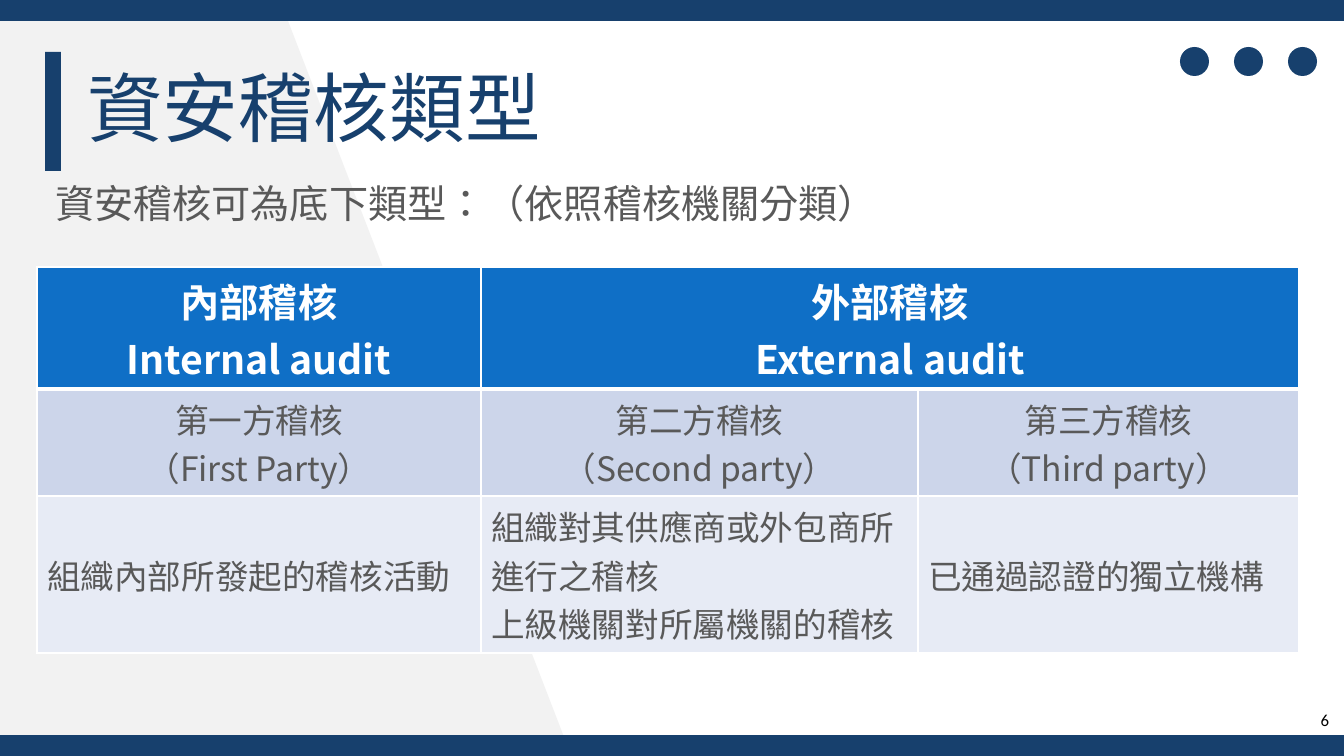
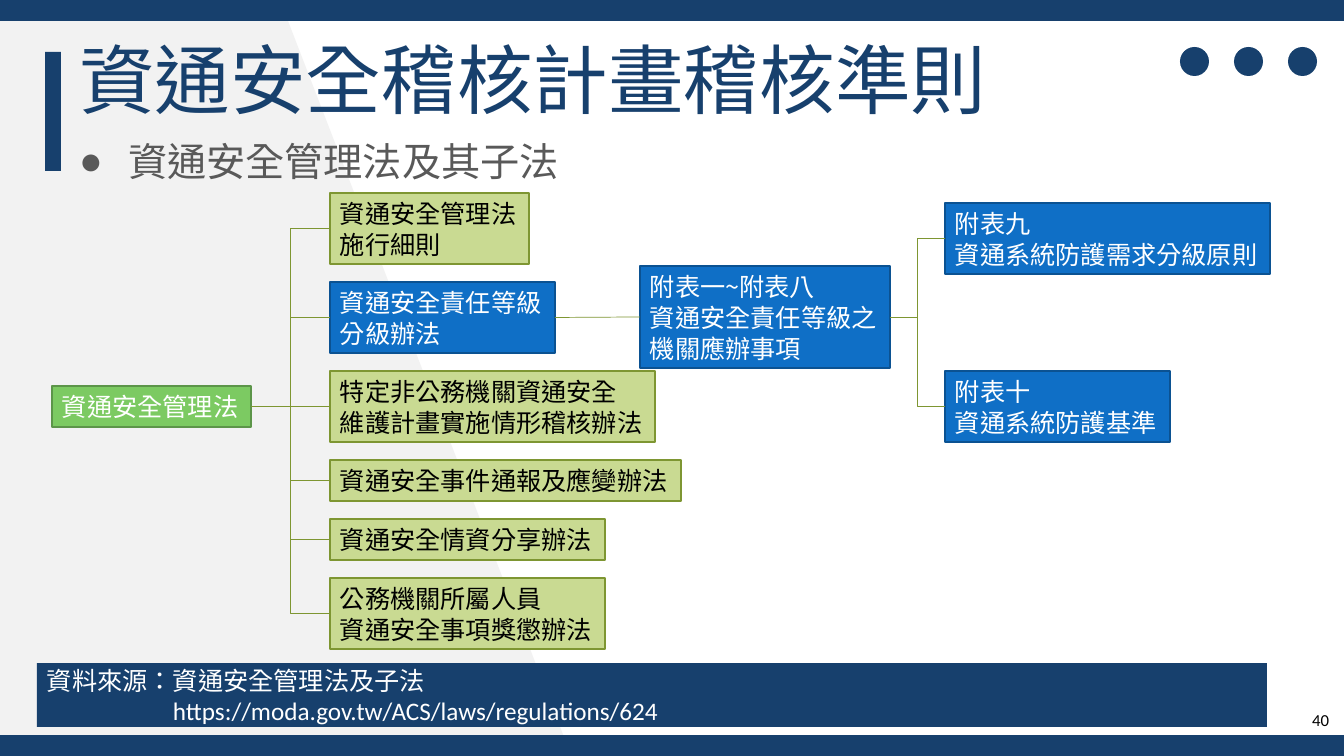
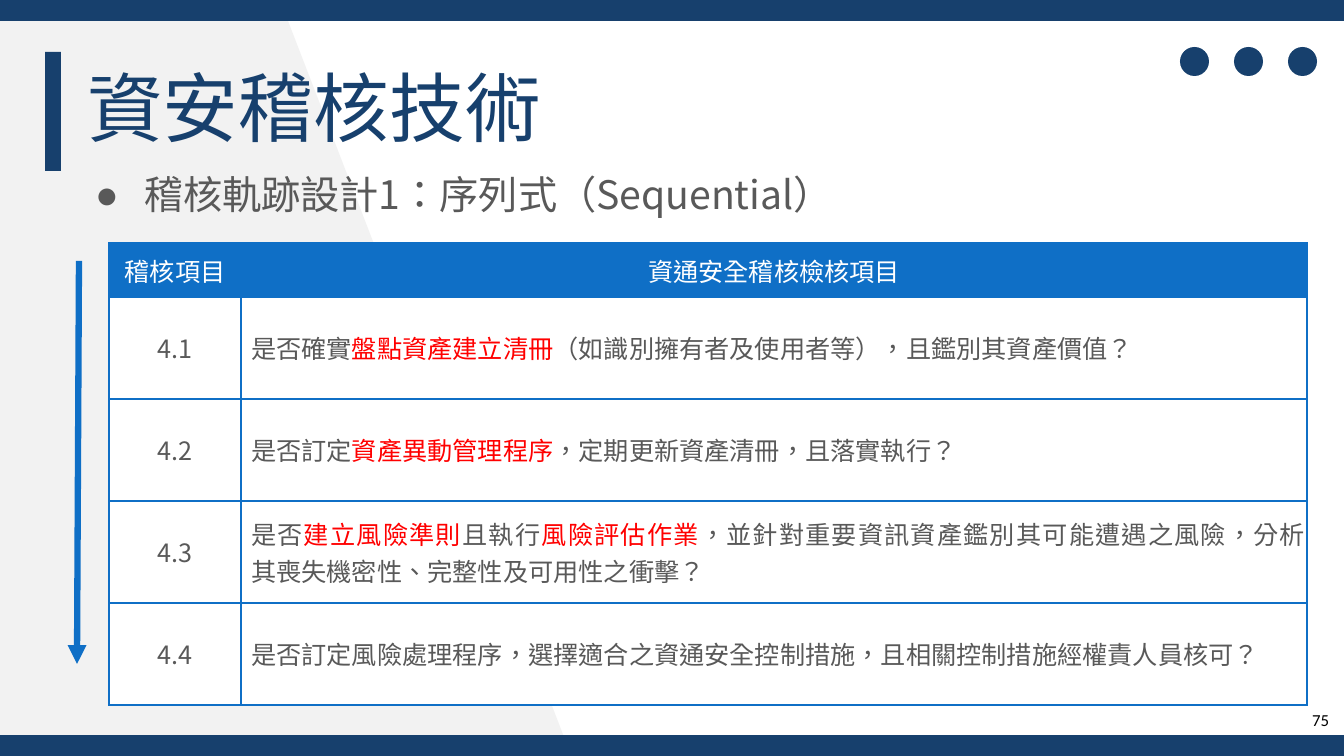
from dataclasses import dataclass

import pptx
import pptx.util
from lxml import etree
from pptx.dml.color import RGBColor
from pptx.enum.shapes import MSO_CONNECTOR, MSO_SHAPE
from pptx.enum.text import MSO_ANCHOR, MSO_AUTO_SIZE, PP_ALIGN
from pptx.oxml.ns import qn

PX = 12192000 / 1344
WIDE, HIGH = 1344, 756
Pt = pptx.util.Pt


@dataclass(frozen=True)
class Theme:
    navy: str = "17406D"
    blue: str = "0F6FC6"
    edge: str = "0B5292"
    green: str = "7CCA62"
    moss: str = "5C9549"
    lime: str = "C9DA92"
    olive: str = "7E9632"
    pale: str = "F2F2F2"
    band: str = "CCD5EA"
    mist: str = "E7EBF5"
    gray: str = "595959"
    red: str = "FF0000"
    white: str = "FFFFFF"
    black: str = "000000"
    font: str = "Noto Sans CJK JP"
    latin: str = "Calibri"
    title: int = 54
    lead: int = 28
    cell: int = 24
    note: int = 18
    foot: int = 12
    tight: float = 0.9


T = Theme()


def px(num):
    return pptx.util.Emu(round(num * PX))


def place(box):
    return [px(num) for num in box]


def rgb(color):
    return RGBColor.from_string(color)


def add_run(para, text, size, color, font, bold):
    run = para.add_run()
    run.text = text
    run.font.size = Pt(size)
    run.font.bold = bold
    run.font.color.rgb = rgb(color)
    run.font.name = font
    props = run._r.get_or_add_rPr()
    props.set("lang", "zh-TW")
    etree.SubElement(props, qn("a:ea")).set("typeface", font)


def add_bullet(para, color):
    props = para._p.get_or_add_pPr()
    tint = etree.SubElement(props, qn("a:buClr"))
    etree.SubElement(tint, qn("a:srgbClr")).set("val", color)
    etree.SubElement(props, qn("a:buChar")).set("char", "●")


def indent(para, left, hang=0):
    props = para._p.get_or_add_pPr()
    props.set("marL", str(px(left)))
    props.set("indent", str(px(-hang)))


def write(frame, lines, size, color, align=PP_ALIGN.LEFT, font=T.font,
          bold=False, pitch=None):
    """Write one paragraph per line; *marked* words turn red, \\n breaks."""
    for pos, line in enumerate(lines):
        para = frame.add_paragraph() if pos else frame.paragraphs[0]
        para.alignment = align
        if pitch:
            para.line_spacing = pitch
        for odd, part in enumerate(line.split("*")):
            for row, text in enumerate(part.split("\n")):
                if row:
                    para.add_line_break()
                if text:
                    add_run(para, text, size, T.red if odd % 2 else color,
                            font, bold)


def add_shape(slide, kind, box, fill, line=None):
    shape = slide.shapes.add_shape(kind, *place(box))
    paint(shape, fill, line)
    return shape


def paint(shape, fill, line=None):
    shape.shadow.inherit = False
    shape.fill.solid()
    shape.fill.fore_color.rgb = rgb(fill)
    if line:
        shape.line.color.rgb = rgb(line)
        shape.line.width = Pt(1)
    else:
        shape.line.fill.background()


def add_line(slide, kind, ends, color, width):
    line = slide.shapes.add_connector(kind, *place(ends))
    line.line.color.rgb = rgb(color)
    line.line.width = Pt(width)
    etree.SubElement(line._element.spPr, qn("a:effectLst"))
    return line


def dress(layout, slide):
    """Draw the shared band, bars and dots, then move them to the layout."""
    path = slide.shapes.build_freeform(0, 0, scale=PX)
    path.add_line_segments([(0, 753), (571, 755), (280, 0)], close=True)
    wedge = path.convert_to_shape()
    paint(wedge, T.pale)
    rect = MSO_SHAPE.RECTANGLE
    parts = [wedge]
    for box in [(45, 52, 16, 119), (0, 0, WIDE, 21), (0, 735, WIDE, 21)]:
        parts.append(add_shape(slide, rect, box, T.navy))
    for col in range(3):
        box = (1180 + 54 * col, 47, 29, 29)
        parts.append(add_shape(slide, MSO_SHAPE.OVAL, box, T.navy))
    for pos, part in enumerate(parts):
        node = part._element
        node.nvSpPr.cNvPr.set("id", str(20 + pos))
        layout.shapes._spTree.insert(2 + pos, node)


def add_head(slide, box, text):
    head = slide.shapes.title
    head.left, head.top, head.width, head.height = place(box)
    frame = head.text_frame
    frame.auto_size = MSO_AUTO_SIZE.NONE
    frame.vertical_anchor = MSO_ANCHOR.TOP
    write(frame, [text], T.title, T.navy, pitch=T.tight)


def add_lead(slide, box, text, bullet=True, pitch=T.tight):
    lead = slide.placeholders[1]
    lead.left, lead.top, lead.width, lead.height = place(box)
    frame = lead.text_frame
    frame.auto_size = MSO_AUTO_SIZE.NONE
    para = frame.paragraphs[0]
    if bullet:
        indent(para, 49, 49)
        add_bullet(para, T.gray)
    else:
        indent(para, 0)
        etree.SubElement(para._p.get_or_add_pPr(), qn("a:buNone"))
    para.space_before = Pt(0)
    align = PP_ALIGN.JUSTIFY if bullet else PP_ALIGN.LEFT
    write(frame, [text], T.lead, T.gray, align, pitch=pitch)


def add_foot(slide, box, num):
    frame = slide.shapes.add_textbox(*place(box)).text_frame
    frame.word_wrap = True
    frame.vertical_anchor = MSO_ANCHOR.BOTTOM
    write(frame, [str(num)], T.foot, T.black, PP_ALIGN.RIGHT, T.latin)


def add_grid(slide, spot, cols, rows):
    shape = slide.shapes.add_table(
        len(rows), len(cols), *place((*spot, sum(cols), sum(rows))))
    grid = shape.table
    grid.horz_banding = False
    for col, width in zip(grid.columns, cols):
        col.width = px(width)
    for row, height in zip(grid.rows, rows):
        row.height = px(height)
    return grid


def style(cell, fill, color, base=1, anchor=MSO_ANCHOR.MIDDLE):
    """Give a cell its borders, the lower one base points wide, and fill."""
    props = cell._tc.get_or_add_tcPr()
    for side in "LRTB":
        width = Pt(base if side == "B" else 1)
        line = etree.SubElement(props, qn("a:ln" + side), w=str(width))
        solid = etree.SubElement(line, qn("a:solidFill"))
        etree.SubElement(solid, qn("a:srgbClr")).set("val", color)
    cell.fill.solid()
    cell.fill.fore_color.rgb = rgb(fill)
    cell.vertical_anchor = anchor


def add_types(slide, spot):
    """Table of audit types."""
    mid, left = PP_ALIGN.CENTER, PP_ALIGN.LEFT
    looks = [
        (T.blue, T.white, T.lead, mid, 3, MSO_ANCHOR.MIDDLE),
        (T.band, T.gray, T.cell, mid, 1, MSO_ANCHOR.TOP),
        (T.mist, T.gray, T.cell, left, 1, MSO_ANCHOR.MIDDLE),
    ]
    data = [
        [["內部稽核", "Internal audit"], ["外部稽核", "External audit"], []],
        [["第一方稽核", "（First Party）"], ["第二方稽核", "（Second party）"],
         ["第三方稽核", "（Third party）"]],
        [["組織內部所發起的稽核活動"],
         ["組織對其供應商或外包商所進行之稽核", "上級機關對所屬機關的稽核"],
         ["已通過認證的獨立機構"]],
    ]
    grid = add_grid(slide, spot, [444, 437, 381], [122, 107, 157])
    grid.cell(0, 1).merge(grid.cell(0, 2))
    for row, (look, line) in enumerate(zip(looks, data)):
        fill, ink, size, align, base, anchor = look
        for col, lines in enumerate(line):
            cell = grid.cell(row, col)
            style(cell, fill, T.white, base, anchor)
            write(cell.text_frame, lines, size, ink, align, bold=row == 0)


def add_checks(slide, spot):
    """Table of check items."""
    data = [
        ("稽核項目", "資通安全稽核檢核項目"),
        ("4.1", "是否確實*盤點資產建立清冊*（如識別擁有者及使用者等），且鑑別其資產價值？"),
        ("4.2", "是否訂定*資產異動管理程序*，定期更新資產清冊，且落實執行？"),
        ("4.3", "是否*建立風險準則*且執行*風險評估作業*，並針對重要資訊資產鑑別"
                "其可能遭遇之風險，分析\n其喪失機密性、完整性及可用性之衝擊？"),
        ("4.4", "是否訂定風險處理程序，選擇適合之資通安全控制措施，"
                "且相關控制措施經權責人員核可？"),
    ]
    grid = add_grid(slide, spot, [132, 1066], [54] + [102] * 4)
    for row, line in enumerate(data):
        for col, text in enumerate(line):
            cell = grid.cell(row, col)
            cell.margin_left = cell.margin_right = 0
            cell.margin_top = cell.margin_bottom = 0
            style(cell, T.white if row else T.blue, T.blue)
            body = row and col
            if body:
                indent(cell.text_frame.paragraphs[0], 10)
            write(cell.text_frame, [text], T.note, T.gray if row else T.white,
                  PP_ALIGN.JUSTIFY if body else PP_ALIGN.CENTER)


def add_node(slide, left, top, lines, look):
    """Add a box sized by its longest line and its number of lines."""
    fill, edge, ink = look
    width = round(25.2 * max(len(line) for line in lines)) + 23
    height = round(30.6 * len(lines)) + 10
    node = add_shape(slide, MSO_SHAPE.RECTANGLE, (left, top, width, height),
                     fill, edge)
    frame = node.text_frame
    frame.word_wrap = False
    frame.vertical_anchor = MSO_ANCHOR.TOP
    write(frame, lines, T.note, ink, pitch=Pt(22))
    return node, top + height


def link(slide, start, end, kind=MSO_CONNECTOR.ELBOW):
    line = add_line(slide, kind, (0, 0, 0, 0), T.olive, 0.5)
    line.begin_connect(start, 3)
    line.end_connect(end, 1)


def add_tree(slide, left, top):
    """Tree of the act, its rules and their tables."""
    root_look = (T.green, T.moss, T.white)
    lime = (T.lime, T.olive, T.black)
    blue = (T.blue, T.edge, T.white)
    rules = [
        (["資通安全管理法", "施行細則"], lime),
        (["資通安全責任等級", "分級辦法"], blue),
        (["特定非公務機關資通安全", "維護計畫實施情形稽核辦法"], lime),
        (["資通安全事件通報及應變辦法"], lime),
        (["資通安全情資分享辦法"], lime),
        (["公務機關所屬人員", "資通安全事項獎懲辦法"], lime),
    ]
    root, _ = add_node(slide, left, top + 193, ["資通安全管理法"], root_look)
    kids, low = [], top
    for lines, look in rules:
        kid, end = add_node(slide, left + 278, low, lines, look)
        kids.append(kid)
        low = end + 18
    hub, _ = add_node(slide, left + 588, top + 73,
                      ["附表一~附表八", "資通安全責任等級之", "機關應辦事項"], blue)
    for pos, kid in enumerate(kids):
        if pos == 2:
            link(slide, root, kid, MSO_CONNECTOR.STRAIGHT)
        else:
            link(slide, root, kid)
    link(slide, kids[1], hub, MSO_CONNECTOR.STRAIGHT)
    for down, lines in [(10, ["附表九", "資通系統防護需求分級原則"]),
                        (178, ["附表十", "資通系統防護基準"])]:
        leaf, _ = add_node(slide, left + 893, top + down, lines, blue)
        link(slide, hub, leaf)


def add_source(slide, box):
    bar = add_shape(slide, MSO_SHAPE.RECTANGLE, box, T.navy)
    frame = bar.text_frame
    frame.word_wrap = True
    frame.vertical_anchor = MSO_ANCHOR.MIDDLE
    write(frame, ["資料來源：資通安全管理法及子法"], T.note, T.white, pitch=Pt(22))
    para = frame.add_paragraph()
    para.alignment = PP_ALIGN.LEFT
    para.line_spacing = Pt(22)
    indent(para, 126)
    add_run(para, "https://moda.gov.tw/ACS/laws/regulations/624", T.note,
            T.white, T.latin, False)


def add_arrow(slide, ends):
    line = add_line(slide, MSO_CONNECTOR.STRAIGHT, ends, T.blue, 4.5)
    etree.SubElement(line.line._get_or_add_ln(), qn("a:tailEnd"),
                     type="triangle")


def main():
    deck = pptx.Presentation()
    deck.slide_width, deck.slide_height = px(WIDE), px(HIGH)
    layout = deck.slide_layouts[1]
    heads = [
        ((77, 66, 1159, 146), "資安稽核類型", 6),
        ((69, 38, 1159, 146), "資通安全稽核計畫稽核準則", 40),
        ((77, 66, 1159, 146), "資安稽核技術", 75),
    ]
    slides = []
    for box, text, num in heads:
        slide = deck.slides.add_slide(layout)
        add_head(slide, box, text)
        add_foot(slide, (1011, 685, 328, 50), num)
        slides.append(slide)
    types, laws, checks = slides
    dress(layout, types)

    add_lead(types, (45, 180, 852, 57),
             "資安稽核可為底下類型：（依照稽核機關分類）", bullet=False)
    add_types(types, (37, 267))

    add_lead(laws, (69, 132, 1223, 547), "資通安全管理法及其子法", pitch=Pt(34))
    add_source(laws, (37, 663, 1230, 64))
    add_tree(laws, 52, 193)

    add_lead(checks, (85, 171, 1223, 64),
             "稽核軌跡設計1：序列式（Sequential）")
    add_checks(checks, (109, 243))
    add_arrow(checks, (79, 261, 77, 664))
    deck.save("out.pptx")


if __name__ == "__main__":
    main()
